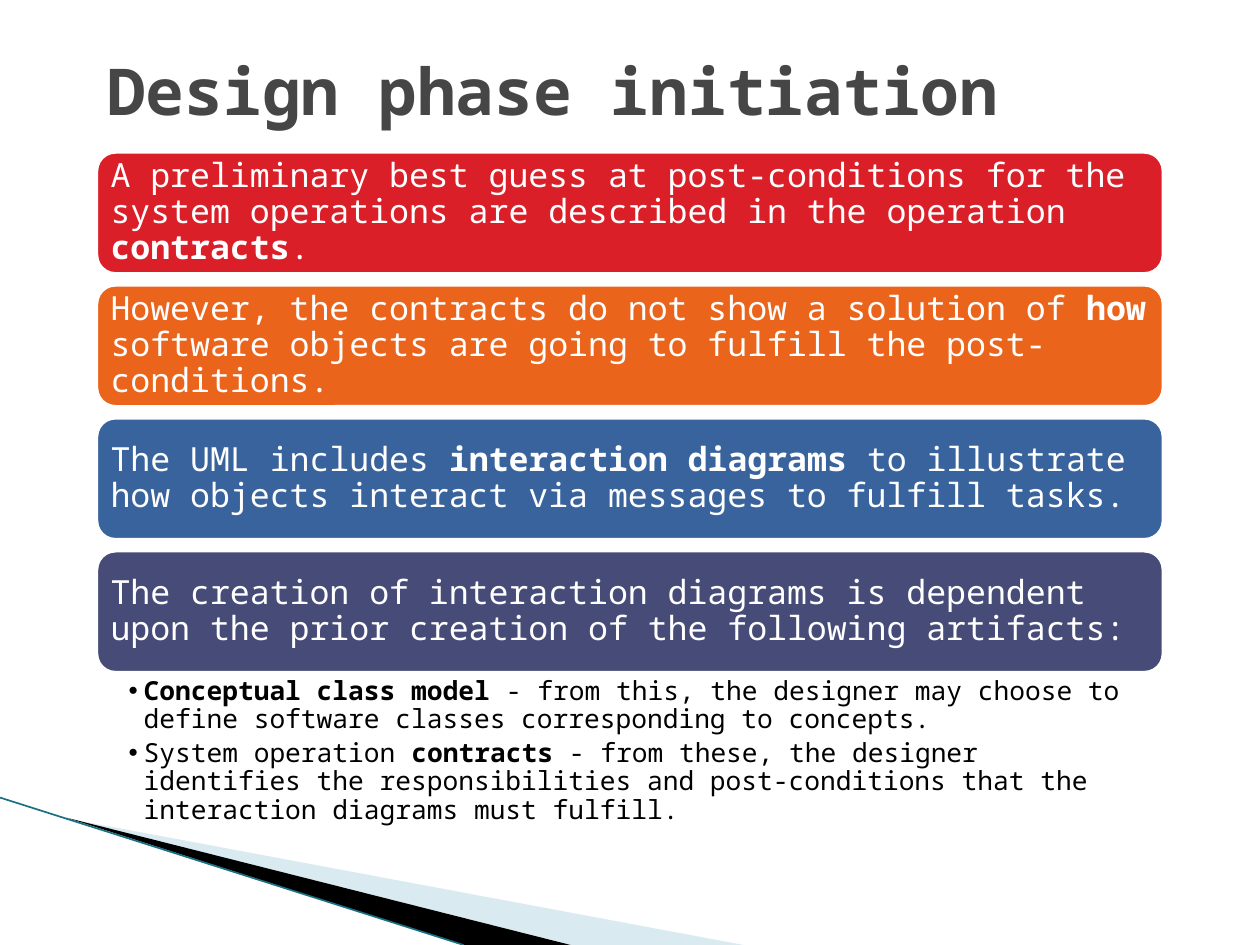
from typing import NamedTuple

from lxml.etree import SubElement
from pptx import Presentation
from pptx.dml.color import RGBColor
from pptx.enum.shapes import MSO_CONNECTOR, MSO_SHAPE
from pptx.enum.text import MSO_ANCHOR, MSO_AUTO_SIZE, PP_ALIGN
from pptx.oxml.ns import qn
from pptx.util import Inches, Pt

FONT = "Noto Sans Mono"
COLORS = {
    "title": "464646", "white": "FFFFFF", "black": "000000",
    "red": "DA1F28", "orange": "EB641B", "blue": "39639D", "indigo": "474B78",
    "pale": "A0CBDC", "teal": "1B6F82",
}
LEFT, WIDTH = 0.75, 8.5
CARD_TOP, CARD_HEIGHT, CARD_PITCH = 1.19, 1.0, 1.055


class Run(NamedTuple):
    text: str
    bold: bool = False


class Card(NamedTuple):
    color: str
    runs: list[Run]


class Wedge(NamedTuple):
    color: str
    points: list[tuple[float, float]]
    opacity: int = 100


CARDS = [
    Card("red", [
        Run("A preliminary best guess at post-conditions for the system operations "
            "are described in the operation "),
        Run("contracts", True), Run(".")]),
    Card("orange", [
        Run("However, the contracts do not show a solution of "), Run("how", True),
        Run(" software objects are going to fulfill the post-conditions.")]),
    Card("blue", [
        Run("The UML includes "), Run("interaction diagrams", True),
        Run(" to illustrate how objects interact via messages to fulfill tasks.")]),
    Card("indigo", [
        Run("The creation of interaction diagrams is dependent upon the prior "
            "creation of the following artifacts:")]),
]
ARTIFACTS = [
    [Run("Conceptual class model ", True),
     Run("- from this, the designer may choose to define software classes "
         "corresponding to concepts.")],
    [Run("System operation "), Run("contracts", True),
     Run(" - from these, the designer identifies the responsibilities and "
         "post-conditions that the interaction diagrams must fulfill.")],
]
WEDGES = [
    Wedge("pale", [(0.55, 6.5), (5.9, 7.5), (4.53, 7.5)], 40),
    Wedge("black", [(0.53, 6.49), (4.53, 7.5), (3.68, 7.5)]),
]


def rgb(name: str) -> RGBColor:
    return RGBColor.from_string(COLORS[name])


def place(shape, left: float, top: float, width: float, height: float) -> None:
    shape.left, shape.top = Inches(left), Inches(top)
    shape.width, shape.height = Inches(width), Inches(height)


def set_frame(frame, anchor, left: float, top: float, right: float, bottom: float) -> None:
    frame.word_wrap = True
    frame.auto_size = MSO_AUTO_SIZE.NONE
    frame.vertical_anchor = anchor
    frame.margin_left, frame.margin_right = Inches(left), Inches(right)
    frame.margin_top, frame.margin_bottom = Inches(top), Inches(bottom)


def write_runs(paragraph, runs: list[Run], size: float, color: str) -> None:
    paragraph.alignment = PP_ALIGN.LEFT
    for part in runs:
        run = paragraph.add_run()
        run.text = part.text
        run.font.name, run.font.size = FONT, Pt(size)
        run.font.bold = part.bold
        run.font.color.rgb = rgb(color)


def add_bullet(paragraph) -> None:
    properties = paragraph._p.get_or_add_pPr()
    properties.set("marL", str(Inches(0.12)))
    properties.set("indent", str(Inches(-0.12)))
    SubElement(properties, qn("a:buFont")).set("typeface", "Arial")
    SubElement(properties, qn("a:buChar")).set("char", "•")


def draw_wedge(slide, wedge: Wedge) -> None:
    start, *rest = [(Inches(x), Inches(y)) for x, y in wedge.points]
    builder = slide.shapes.build_freeform(*start)
    builder.add_line_segments(rest, close=True)
    shape = builder.convert_to_shape()
    shape.shadow.inherit = False
    shape.fill.solid()
    shape.fill.fore_color.rgb = rgb(wedge.color)
    shape.line.fill.background()
    if wedge.opacity < 100:
        fill_color = shape._element.spPr.find(f".//{qn('a:srgbClr')}")
        SubElement(fill_color, qn("a:alpha")).set("val", str(wedge.opacity * 1000))


def draw_card(slide, card: Card, top: float) -> None:
    shape = slide.shapes.add_shape(
        MSO_SHAPE.ROUNDED_RECTANGLE,
        Inches(LEFT), Inches(top), Inches(WIDTH), Inches(CARD_HEIGHT))
    shape.shadow.inherit = False
    shape.fill.solid()
    shape.fill.fore_color.rgb = rgb(card.color)
    shape.line.color.rgb = rgb("white")
    shape.line.width = Pt(4.33)
    set_frame(shape.text_frame, MSO_ANCHOR.MIDDLE, 0.08, 0.08, 0.08, 0.08)
    paragraph = shape.text_frame.paragraphs[0]
    paragraph.line_spacing = 0.9
    write_runs(paragraph, card.runs, 19, "white")


def main() -> None:
    deck = Presentation()
    deck.slide_width, deck.slide_height = Inches(10), Inches(7.5)
    slide = deck.slides.add_slide(deck.slide_layouts[1])

    # Corner decoration
    for wedge in WEDGES:
        draw_wedge(slide, wedge)
    edge = slide.shapes.add_connector(
        MSO_CONNECTOR.STRAIGHT, Inches(0), Inches(6.33), Inches(3.68), Inches(7.5))
    edge.line.color.rgb = rgb("teal")
    edge.line.width = Pt(0.95)
    SubElement(edge._element.spPr, qn("a:effectLst"))

    # Title
    title = slide.shapes.title
    place(title, LEFT, 0.42, WIDTH, 0.58)
    set_frame(title.text_frame, MSO_ANCHOR.MIDDLE, 0.1, 0.05, 0.1, 0.05)
    write_runs(title.text_frame.paragraphs[0],
               [Run("Design phase initiation", True)], 36.9, "title")

    # Statement cards
    for index, card in enumerate(CARDS):
        draw_card(slide, card, CARD_TOP + index * CARD_PITCH)

    # Required artifacts
    artifacts = slide.placeholders[1]
    place(artifacts, LEFT, 5.35, WIDTH, 1.29)
    frame = artifacts.text_frame
    set_frame(frame, MSO_ANCHOR.TOP, 0.27, 0.03, 0.15, 0.03)
    for index, runs in enumerate(ARTIFACTS):
        paragraph = frame.add_paragraph() if index else frame.paragraphs[0]
        add_bullet(paragraph)
        paragraph.level = 1
        paragraph.line_spacing = 0.9
        paragraph.space_before = Pt(0)
        paragraph.space_after = Pt(3)
        write_runs(paragraph, runs, 15, "black")

    deck.save("out.pptx")


if __name__ == "__main__":
    main()
